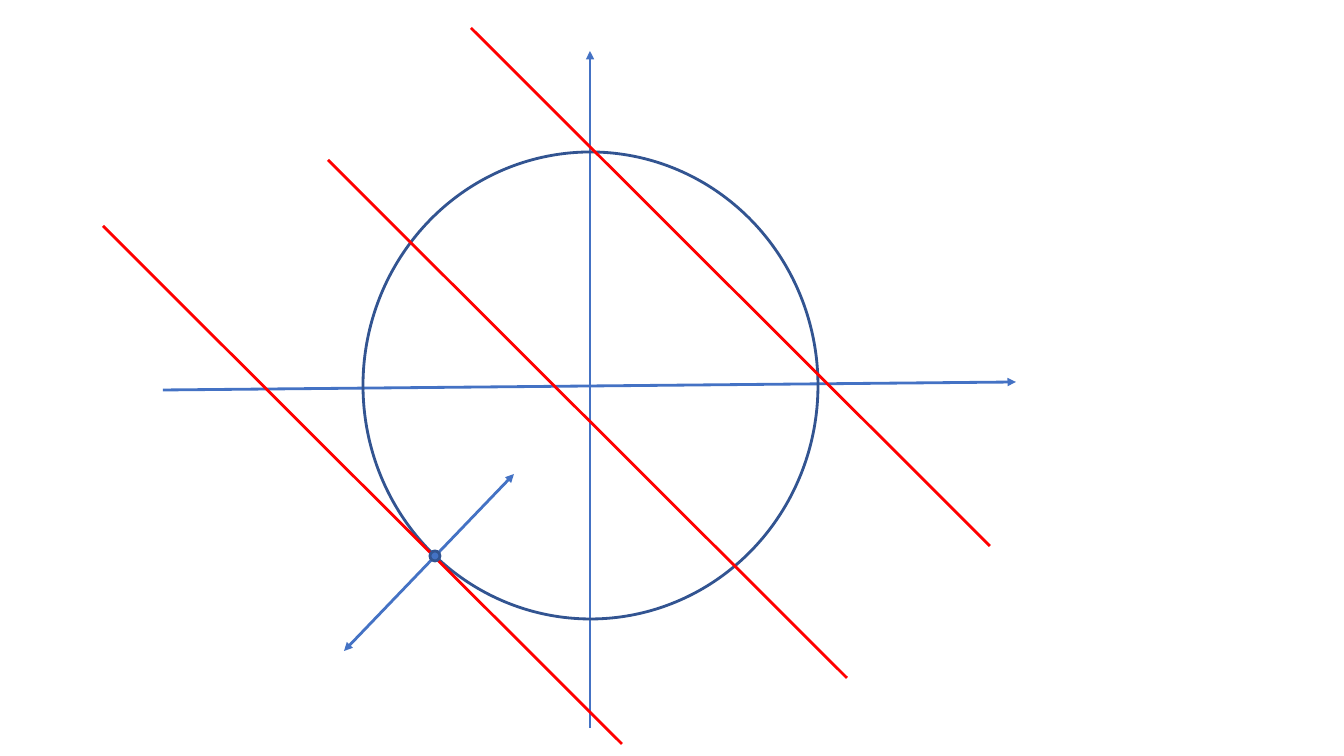
from pptx import Presentation
from pptx import util as u
from pptx.dml.color import RGBColor
from pptx.enum import shapes
from pptx.oxml.ns import qn
from lxml import etree

# Content, lengths in px
SLIDE_SIZE = (1344, 756)
BLUE, NAVY, RED = "4472C4", "325491", "FF0000"
LINE_WIDTH = u.Pt(2)

AXES = [
    ((590, 728), (590, 51)),
    ((163, 390), (1016, 382)),
]
CIRCLE = (363, 152, 455, 467)
PARALLEL_STARTS = [(471, 28), (328, 160), (103, 226)]
PARALLEL_SPAN = (519, 518)
NORMAL = ((344, 651), (514, 474))
TANGENT_POINT = (430, 551, 10, 10)


def px(length):
    return u.Emu(round(length * 914400 / 100.8))


def color(value):
    return RGBColor.from_string(value)


def add_line(slide, start, end, line_color, arrow_ends=()):
    connector = slide.shapes.add_connector(
        shapes.MSO_CONNECTOR.STRAIGHT, *map(px, start + end))
    connector.line.color.rgb = color(line_color)
    connector.line.width = LINE_WIDTH
    properties = connector.line._get_or_add_ln()
    for arrow_end in arrow_ends:
        etree.SubElement(properties, qn(f"a:{arrow_end}"), type="triangle")
    etree.SubElement(connector._element.spPr, qn("a:effectLst"))


def add_ellipse(slide, box, fill=None):
    ellipse = slide.shapes.add_shape(shapes.MSO_SHAPE.OVAL, *map(px, box))
    ellipse.shadow.inherit = False
    ellipse.line.color.rgb = color(NAVY)
    ellipse.line.width = LINE_WIDTH
    if fill:
        ellipse.fill.solid()
        ellipse.fill.fore_color.rgb = color(fill)
    else:
        ellipse.fill.background()


def main():
    presentation = Presentation()
    presentation.slide_width, presentation.slide_height = map(px, SLIDE_SIZE)
    slide = presentation.slides.add_slide(presentation.slide_layouts[6])

    # Axes and circle
    for start, end in AXES:
        add_line(slide, start, end, BLUE, ["tailEnd"])
    add_ellipse(slide, CIRCLE)

    # Parallel lines
    for x, y in PARALLEL_STARTS:
        end = (x + PARALLEL_SPAN[0], y + PARALLEL_SPAN[1])
        add_line(slide, (x, y), end, RED)

    # Normal direction through the tangent point
    add_line(slide, *NORMAL, BLUE, ["headEnd", "tailEnd"])
    add_ellipse(slide, TANGENT_POINT, BLUE)

    presentation.save("out.pptx")


if __name__ == "__main__":
    main()
